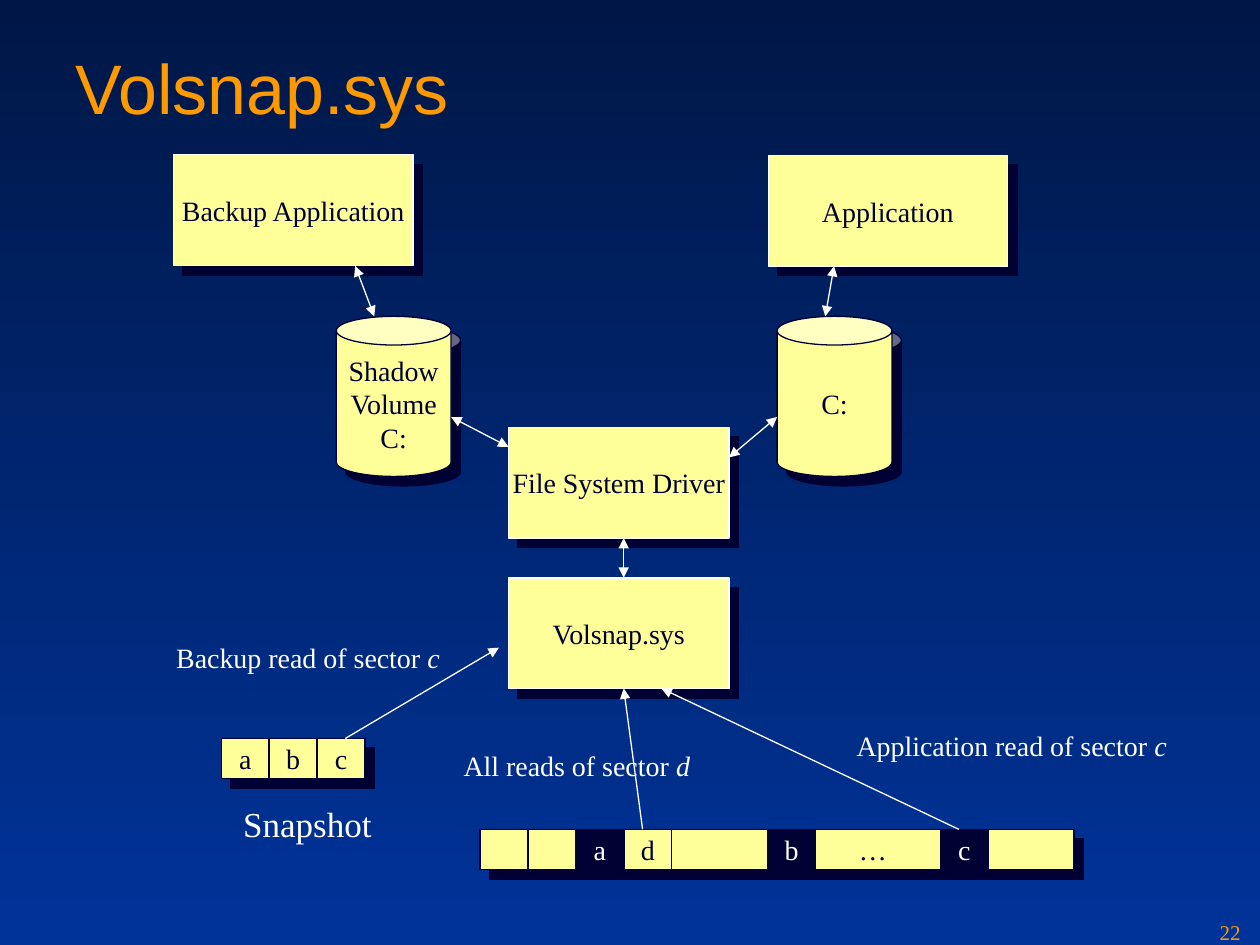
from lxml.etree import SubElement
from pptx import Presentation
from pptx.dml.color import RGBColor
from pptx.enum.shapes import MSO_CONNECTOR, MSO_SHAPE
from pptx.enum.text import MSO_ANCHOR, PP_ALIGN
from pptx.oxml.ns import qn
from pptx.util import Pt

COLORS = {
    "top": "001746", "bottom": "003399", "accent": "FE9900",
    "navy": "000033", "yellow": "FFFF99", "white": "FFFFFF", "teal": "00436E",
}
SERIF = "Times New Roman"
SHADOW_OFFSET = 5.4

# Lengths are in points: left, top, width, height
TITLE = ("Volsnap.sys", 36, 17.3, 648, 90)
PAGE_NUMBER = ("22", 689.8, 522, 30.2, 18)

BOXES = [
    ("File System Driver", 290.6, 244.1, 126, 63.4),
    ("Volsnap.sys", 290.6, 330.2, 126, 63.4),
    ("Backup Application", 99.2, 88.4, 136.8, 63.4),
    ("Application", 439, 88.8, 136.8, 63.4),
]
VOLUMES = [
    ("Shadow\nVolume\nC:", 192.2, 180.8, 65.6, 91.5),
    ("C:", 444.1, 180.8, 65.6, 91.5),
]

SECTOR_WIDTH, SECTOR_HEIGHT = 27.4, 23
SNAPSHOT = {"left": 126.4, "top": 422, "width": 3 * SECTOR_WIDTH,
            "base_width": 3 * SECTOR_WIDTH}
DISK = {"left": 274.3, "top": 473.9, "width": 339.6,
        "base_width": 5 * SECTOR_WIDTH}
# Text, offset in sectors, width in sectors, changed since the snapshot
SNAPSHOT_SECTORS = [("a", 0, 1, False), ("b", 1, 1, False), ("c", 2, 1, False)]
DISK_SECTORS = [
    ("", 0, 1, False), ("", 1, 1, False), ("a", 2, 1, True), ("d", 3, 1, False),
    ("…", 4, 8.39, False), ("b", 6, 1, True), ("c", 9.6, 1, True),
]

# Plain text, italic text, size, box
LABELS = [
    ("Backup read of sector ", "c", 16, 93.6, 362.4, 165, 26.6),
    ("Snapshot", "", 20, 131.8, 455, 92.9, 31.7),
    ("Application read of sector ", "c", 16, 482.4, 412.6, 191.5, 26.6),
    ("All reads of sector ", "d", 16, 257.8, 424.1, 144, 26.6),
]

# Start, end, arrowhead at both ends
ARROWS = [
    ((356.4, 307.4), (356.4, 330.2), True),
    ((285.1, 370.1), (197.3, 422), False),
    ((378, 393.4), (547.9, 473.9), False),
    ((203, 152), (213.9, 180.8), True),
    ((257.8, 238.3), (290.6, 255.4), True),
    ((416.6, 261.4), (444.1, 238.3), True),
    ((476.6, 152), (471.6, 180.8), True),
    ((356.4, 393.4), (367.2, 473.9), False),
]


def rgb(name):
    return RGBColor.from_string(COLORS[name])


def style_font(font, size, color, name=SERIF):
    font.size = Pt(size)
    font.name = name
    font.color.rgb = rgb(color)


def add_block(slide, kind, box, fill, line, text="", color="navy"):
    shape = slide.shapes.add_shape(kind, *map(Pt, box))
    shape.shadow.inherit = False
    shape.fill.solid()
    shape.fill.fore_color.rgb = rgb(fill)
    shape.line.color.rgb = rgb(line)
    shape.line.width = Pt(0.75)
    if text:
        frame = shape.text_frame
        frame.text = text
        frame.word_wrap = False
        frame.vertical_anchor = MSO_ANCHOR.MIDDLE
        for paragraph in frame.paragraphs:
            paragraph.alignment = PP_ALIGN.CENTER
            style_font(paragraph.runs[0].font, 16, color)


def add_shadow(slide, kind, left, top, width, height):
    box = (left + SHADOW_OFFSET, top + SHADOW_OFFSET, width, height)
    add_block(slide, kind, box, "navy", "navy")


def add_sector_row(slide, row, sectors):
    left, top = row["left"], row["top"]
    add_shadow(slide, MSO_SHAPE.RECTANGLE, left, top, row["width"], SECTOR_HEIGHT)
    add_block(slide, MSO_SHAPE.RECTANGLE,
              (left, top, row["base_width"], SECTOR_HEIGHT), "teal", "navy")
    for text, offset, span, changed in sectors:
        box = (left + offset * SECTOR_WIDTH, top, span * SECTOR_WIDTH, SECTOR_HEIGHT)
        fill, color = ("navy", "white") if changed else ("yellow", "navy")
        add_block(slide, MSO_SHAPE.RECTANGLE, box, fill, "navy", text, color)


def add_arrow(slide, start, end, both_ends):
    connector = slide.shapes.add_connector(
        MSO_CONNECTOR.STRAIGHT, *map(Pt, start + end))
    connector.line.color.rgb = rgb("white")
    connector.line.width = Pt(0.75)
    line = connector.line._get_or_add_ln()
    for tag in ["a:headEnd", "a:tailEnd"] if both_ends else ["a:headEnd"]:
        SubElement(line, qn(tag), type="triangle")
    SubElement(connector._element.spPr, qn("a:effectLst"))


def add_text(slide, box, text, size, color, font=SERIF, wrap=True, italic=""):
    frame = slide.shapes.add_textbox(*map(Pt, box)).text_frame
    frame.word_wrap = wrap
    frame.text = text
    paragraph = frame.paragraphs[0]
    if italic:
        run = paragraph.add_run()
        run.text = italic
        run.font.italic = True
    for run in paragraph.runs:
        style_font(run.font, size, color, font)
    return frame


def main():
    presentation = Presentation()
    presentation.slide_width, presentation.slide_height = Pt(720), Pt(540)
    slide = presentation.slides.add_slide(presentation.slide_layouts[6])
    background = slide.background.fill
    background.gradient()
    background.gradient_angle = 270
    for stop, name in zip(background.gradient_stops, ("top", "bottom")):
        stop.color.rgb = rgb(name)

    title, *title_box = TITLE
    title_frame = add_text(slide, title_box, title, 40, "accent", "Arial")
    title_frame.margin_top = Pt(8)

    for kind, line, blocks in [(MSO_SHAPE.RECTANGLE, "white", BOXES),
                               (MSO_SHAPE.CAN, "navy", VOLUMES)]:
        for text, *box in blocks:
            add_shadow(slide, kind, *box)
            add_block(slide, kind, box, "yellow", line, text)

    add_sector_row(slide, SNAPSHOT, SNAPSHOT_SECTORS)
    add_sector_row(slide, DISK, DISK_SECTORS)
    for arrow in ARROWS:
        add_arrow(slide, *arrow)
    for text, italic, size, *box in LABELS:
        add_text(slide, box, text, size, "white", wrap=False, italic=italic)

    number, *number_box = PAGE_NUMBER
    add_text(slide, number_box, number, 12, "accent")
    presentation.save("out.pptx")


if __name__ == "__main__":
    main()
